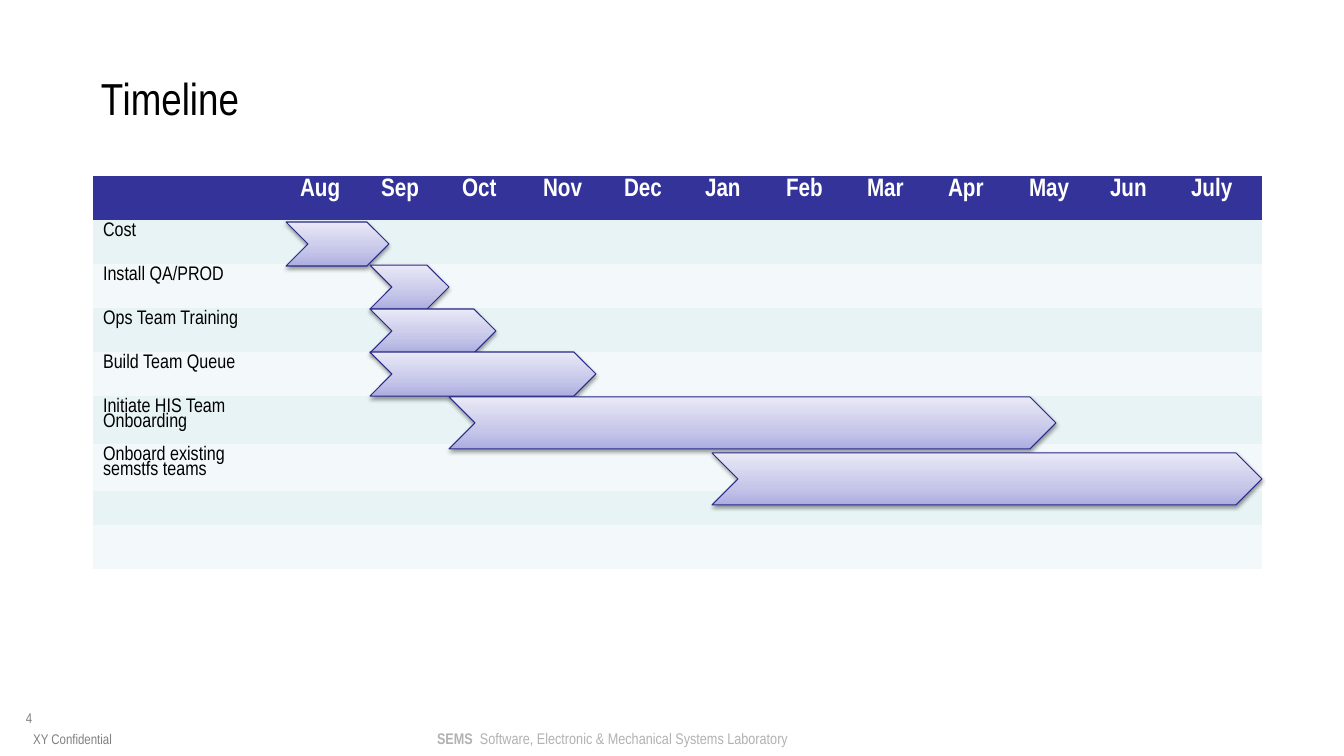
from copy import deepcopy

from lxml.etree import SubElement
from pptx import Presentation
from pptx.dml.color import RGBColor
from pptx.enum.shapes import MSO_SHAPE
from pptx.enum.text import MSO_ANCHOR, PP_ALIGN
from pptx.oxml.ns import qn
from pptx.util import Pt

FONT = "Arial Narrow"
PX = 914400 / 100.8
NO_STYLE = "{2D5ABB26-0587-4C30-8999-92F81FD0307C}"

BLACK = RGBColor(0x00, 0x00, 0x00)
WHITE = RGBColor(0xFF, 0xFF, 0xFF)
GRAY = RGBColor(0x80, 0x80, 0x80)
LIGHT_GRAY = RGBColor(0xB2, 0xB2, 0xB2)
HEADER = RGBColor(0x33, 0x33, 0x99)
BAND_ODD = RGBColor(0xE7, 0xF3, 0xF4)
BAND_EVEN = RGBColor(0xF3, 0xF9, 0xFA)
OUTLINE = RGBColor(0x2A, 0x2A, 0x89)
GRADIENT = [
    (0, RGBColor(0xAD, 0xAD, 0xE1)),
    (0.35, RGBColor(0xC6, 0xC6, 0xE9)),
    (1, RGBColor(0xE9, 0xE9, 0xF7)),
]

MONTHS = ["Aug", "Sep", "Oct", "Nov", "Dec", "Jan",
          "Feb", "Mar", "Apr", "May", "Jun", "July"]
TASKS = ["Cost", "Install QA/PROD", "Ops Team Training", "Build Team Queue",
         "Initiate HIS Team Onboarding", "Onboard existing semstfs teams"]
ROW_HEIGHTS = [44, 44, 44, 44, 44, 47, 47, 34, 44]
TASK_WIDTH = 197
MONTH_WIDTH = 81
BARS = [
    (193, 46, 103, 44),
    (277, 89, 79, 44),
    (277, 133, 126, 44),
    (277, 176, 226, 44),
    (356, 221, 607, 52),
    (619, 277, 550, 52),
]


def px(n):
    return round(n * PX)


def write(tf, text, size=14, color=BLACK, bold=False, align=PP_ALIGN.LEFT, spacing=None):
    p = tf.paragraphs[0]
    p.alignment = align
    if spacing:
        p.line_spacing = spacing
    r = p.add_run()
    r.text = text
    r.font.name = FONT
    r.font.size = Pt(size)
    r.font.bold = bold
    r.font.color.rgb = color


def clear_insets(tf, anchor, wrap=True):
    tf.margin_left = tf.margin_right = tf.margin_top = tf.margin_bottom = 0
    tf.vertical_anchor = anchor
    tf.word_wrap = wrap


def add_label(s, box, anchor=MSO_ANCHOR.TOP, wrap=True):
    tf = s.shapes.add_textbox(*map(px, box)).text_frame
    clear_insets(tf, anchor, wrap)
    return tf


def add_title(s, box):
    sp = s.shapes.title
    sp.left, sp.top, sp.width, sp.height = map(px, box)
    clear_insets(sp.text_frame, MSO_ANCHOR.MIDDLE)
    write(sp.text_frame, "Timeline", size=32)


def add_footer(s, left, top):
    write(add_label(s, (left + 15, top, 72, 25)), "4", size=10, color=GRAY)
    tf = add_label(s, (left + 426, top + 19, 353, 19), wrap=False)
    write(tf, "SEMS", size=11, color=LIGHT_GRAY, bold=True)
    write(tf, "  Software, Electronic & Mechanical Systems Laboratory",
          size=11, color=LIGHT_GRAY)
    tf = add_label(s, (left, top + 15, 123, 22), anchor=MSO_ANCHOR.BOTTOM)
    write(tf, "XY Confidential", size=10, color=GRAY, align=PP_ALIGN.CENTER)


def add_schedule(s, left, top):
    rows = [[""] + MONTHS] + [[task] + [""] * len(MONTHS) for task in TASKS]
    rows += [[""] * len(rows[0]) for _ in range(len(ROW_HEIGHTS) - len(rows))]
    width = TASK_WIDTH + MONTH_WIDTH * len(MONTHS)
    frame = s.shapes.add_table(len(rows), len(rows[0]), px(left), px(top),
                               px(width), px(sum(ROW_HEIGHTS)))
    table = frame.table
    table._tbl.tblPr.find(qn("a:tableStyleId")).text = NO_STYLE
    for i, column in enumerate(table.columns):
        column.width = px(MONTH_WIDTH if i else TASK_WIDTH)
    for i, (texts, height) in enumerate(zip(rows, ROW_HEIGHTS)):
        table.rows[i].height = px(height)
        band = BAND_ODD if i % 2 else BAND_EVEN
        for j, text in enumerate(texts):
            cell = table.cell(i, j)
            cell.fill.solid()
            cell.fill.fore_color.rgb = band if i else HEADER
            if not text:
                cell.margin_top = cell.margin_bottom = 0
            elif i:
                write(cell.text_frame, text, spacing=0.8)
            else:
                write(cell.text_frame, text, size=18, color=WHITE, bold=True, spacing=0.8)


def add_bar(s, box):
    sp = s.shapes.add_shape(MSO_SHAPE.CHEVRON, *map(px, box))
    sp.line.color.rgb = OUTLINE
    sp.line.width = Pt(0.75)
    sp.fill.gradient()
    sp.fill.gradient_angle = 90
    stops = sp._element.spPr.find(".//" + qn("a:gsLst"))
    stops.append(deepcopy(stops[0]))
    for stop, (position, color) in zip(sp.fill.gradient_stops, GRADIENT):
        stop.position = position
        stop.color.rgb = color
    sp.shadow.inherit = False
    effects = sp._element.spPr.find(qn("a:effectLst"))
    shadow = SubElement(effects, qn("a:outerShdw"), blurRad=str(Pt(3.1)),
                        dist=str(Pt(1.6)), dir="5400000", rotWithShape="0")
    black = SubElement(shadow, qn("a:srgbClr"), val=str(BLACK))
    SubElement(black, qn("a:alpha"), val="38000")


def add_bars(s, left, top):
    for x, y, width, height in BARS:
        add_bar(s, (left + x, top + y, width, height))


def main():
    prs = Presentation()
    prs.slide_width, prs.slide_height = px(1344), px(756)
    s = prs.slides.add_slide(prs.slide_layouts[5])
    add_footer(s, 11, 710)
    add_title(s, (101, 69, 1210, 58))
    add_schedule(s, 93, 176)
    add_bars(s, 93, 176)
    prs.save("out.pptx")


if __name__ == "__main__":
    main()
